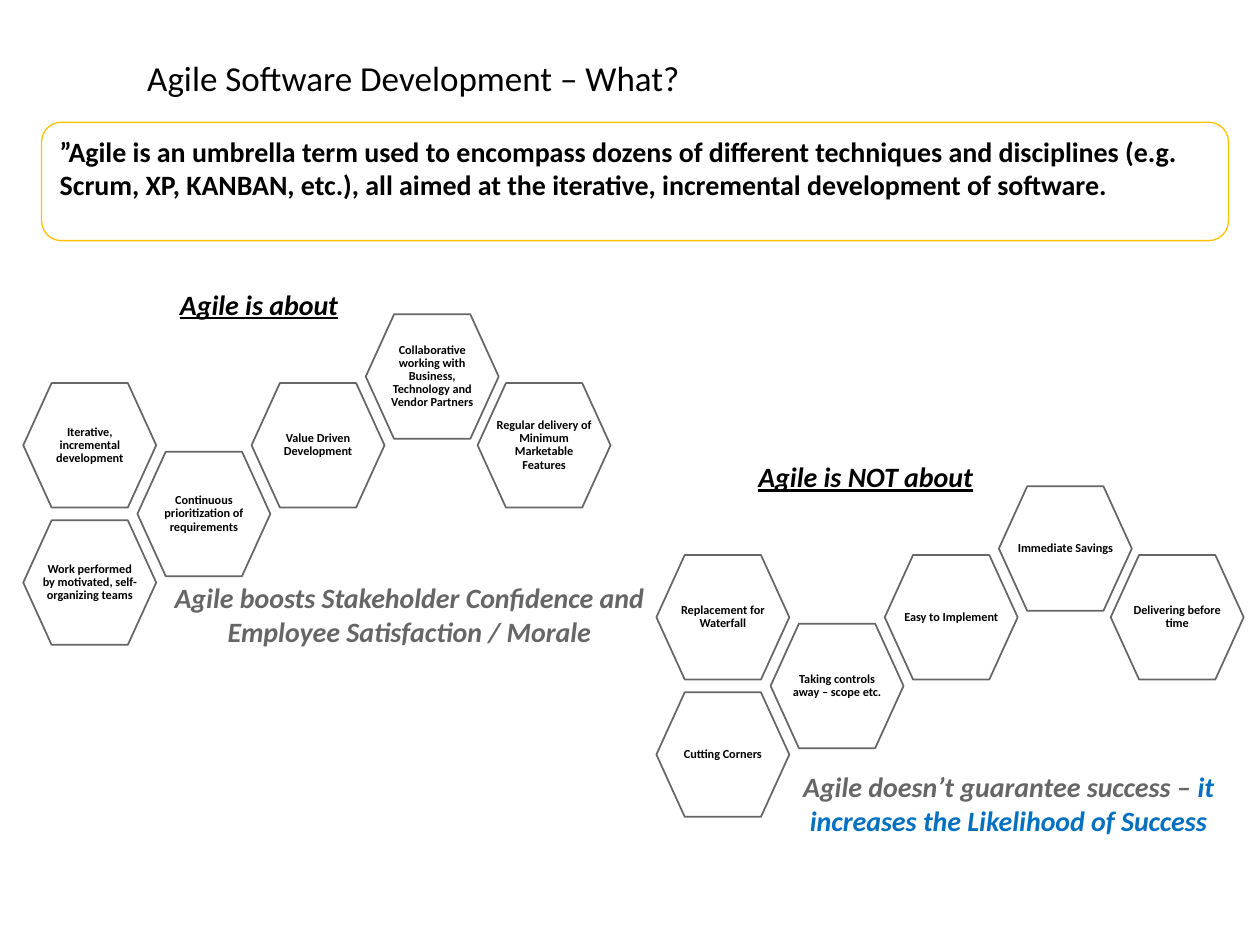
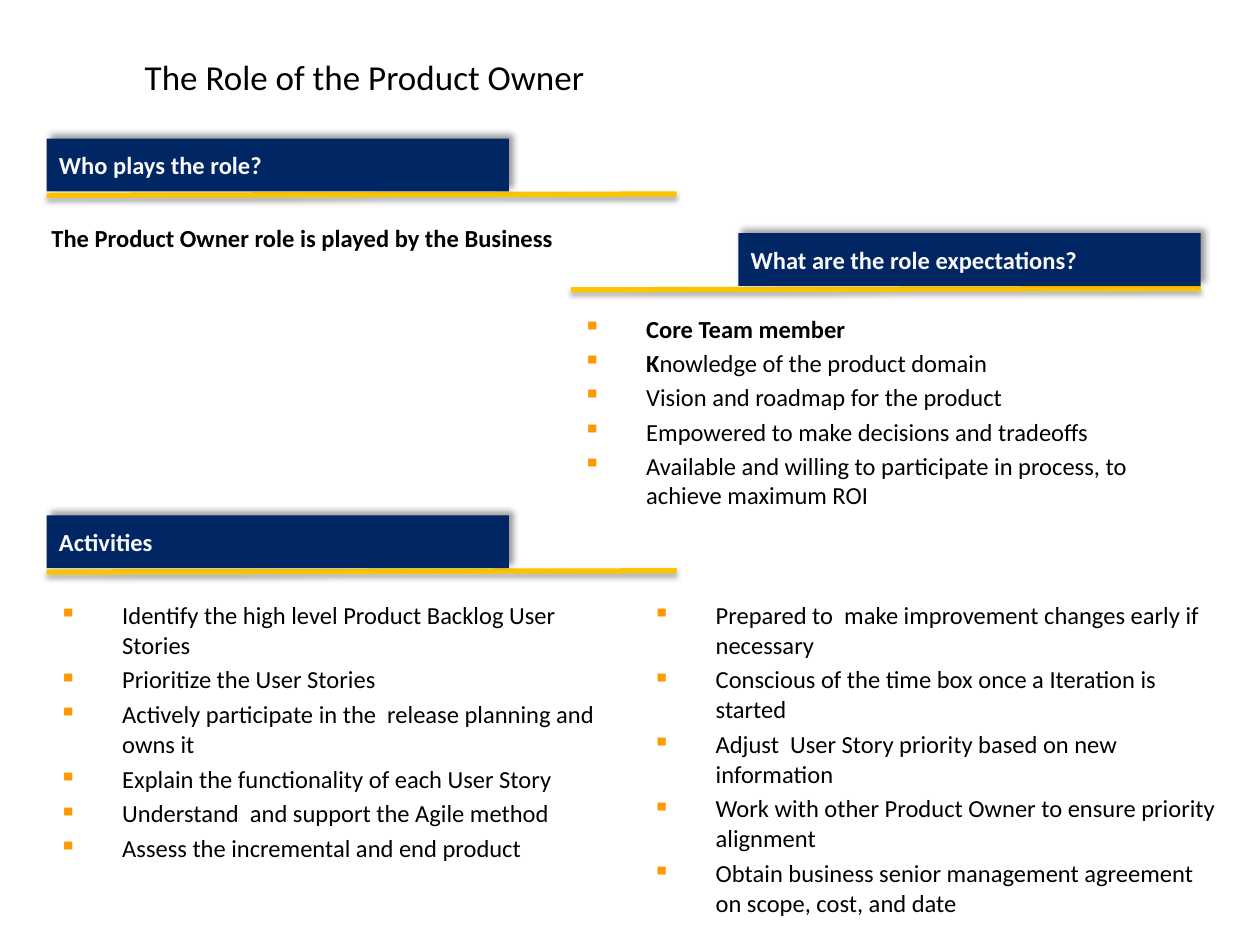
from lxml import etree
from pptx import Presentation
from pptx.dml.color import RGBColor
from pptx.enum.shapes import MSO_CONNECTOR, MSO_SHAPE
from pptx.enum.text import MSO_ANCHOR, PP_ALIGN
from pptx.oxml.ns import qn
from pptx.util import Inches, Pt

LEFT, CENTER = PP_ALIGN.LEFT, PP_ALIGN.CENTER
TOP, MIDDLE = MSO_ANCHOR.TOP, MSO_ANCHOR.MIDDLE
RECTANGLE = MSO_SHAPE.RECTANGLE
ROUNDED_BOX = MSO_SHAPE.FLOWCHART_ALTERNATE_PROCESS
STRAIGHT = MSO_CONNECTOR.STRAIGHT

BLACK = RGBColor(0x00, 0x00, 0x00)
WHITE = RGBColor(0xFF, 0xFF, 0xFF)
OFF_WHITE = RGBColor(0xF8, 0xF8, 0xF8)
GRAY = RGBColor(0x66, 0x66, 0x66)
NAVY = RGBColor(0x00, 0x26, 0x63)
BLUE = RGBColor(0x00, 0x70, 0xC0)
GOLD = RGBColor(0xFA, 0xC4, 0x00)
AMBER = RGBColor(0xFF, 0xC0, 0x00)
ORANGE = RGBColor(0xFF, 0x99, 0x00)

FONT = "Calibri"
COLUMNS, ROWS = 100, 75
WIDTH, HEIGHT = Inches(10), Inches(7.5)

HEXAGON_WIDTH, HEXAGON_HEIGHT, HEXAGON_CORNER = 10.55, 9.88, 2.25
HEXAGON_STEP_X, HEXAGON_STEP_Y = 9.06, 5.45
HEXAGON_PLACES = [(0, 2), (1, 1), (0, 0), (2, 0), (3, -1), (3.98, 0)]
BAR_WIDTH, BAR_HEIGHT, RULE_WIDTH = 36.7, 4.2, 50

AGILE_IS = [
    "Work performed by motivated, self-organizing teams",
    "Continuous prioritization of requirements",
    "Iterative, incremental development",
    "Value Driven Development",
    "Collaborative working with Business, Technology and Vendor Partners",
    "Regular delivery of Minimum Marketable Features",
]
AGILE_IS_NOT = [
    "Cutting Corners",
    "Taking controls away – scope etc.",
    "Replacement for Waterfall",
    "Easy to Implement",
    "Immediate Savings",
    "Delivering before time",
]
EXPECTATIONS = [
    [("Core Team member", {"bold": True})],
    [("K", {"bold": True}), ("nowledge of the product domain", {})],
    "Vision and roadmap for the product",
    "Empowered to make decisions and tradeoffs",
    "Available and willing to participate in process, to achieve maximum ROI",
]
ACTIVITIES = [
    [
        "Identify the high level Product Backlog User Stories",
        "Prioritize the User Stories",
        "Actively participate in the  release planning and owns it",
        "Explain the functionality of each User Story",
        "Understand  and support the Agile method",
        "Assess the incremental and end product",
    ],
    [
        "Prepared to  make improvement changes early if necessary",
        "Conscious of the time box once a Iteration is started",
        "Adjust  User Story priority based on new information",
        "Work with other Product Owner to ensure priority alignment",
        "Obtain business senior management agreement on scope, cost, and date",
    ],
]


def across(columns):
    return round(WIDTH * columns / COLUMNS)


def down(rows):
    return round(HEIGHT * rows / ROWS)


def add_bullet(paragraph):
    properties = paragraph._p.get_or_add_pPr()
    properties.set("marL", str(Inches(0.5)))
    properties.set("indent", str(-Inches(0.5)))
    color = etree.SubElement(properties, qn("a:buClr"))
    etree.SubElement(color, qn("a:srgbClr"), val=str(ORANGE))
    etree.SubElement(properties, qn("a:buChar"), char="▪")


def set_shadow(shape, blur=None, distance=0, direction=0, opacity=0):
    properties = shape._element.spPr
    effects = properties.find(qn("a:effectLst"))
    if effects is None:
        effects = etree.SubElement(properties, qn("a:effectLst"))
    if blur:
        shadow = etree.SubElement(
            effects, qn("a:outerShdw"), blurRad=str(Pt(blur)),
            dist=str(Pt(distance)), dir=str(direction * 60000), rotWithShape="0")
        color = etree.SubElement(shadow, qn("a:srgbClr"), val=str(BLACK))
        etree.SubElement(color, qn("a:alpha"), val=str(opacity * 1000))


def write(frame, paragraphs, size=14, color=BLACK, bold=False, italic=False,
          underline=False, align=LEFT, spacing=None, before=0, bullets=False):
    if isinstance(paragraphs, str):
        paragraphs = [paragraphs]
    for index, runs in enumerate(paragraphs):
        paragraph = frame.add_paragraph() if index else frame.paragraphs[0]
        paragraph.alignment = align
        paragraph.line_spacing = spacing
        paragraph.space_before = Pt(before)
        if bullets:
            add_bullet(paragraph)
        for text, changes in [(runs, {})] if isinstance(runs, str) else runs:
            run = paragraph.add_run()
            run.text = text
            run.font.name = FONT
            run.font.size = Pt(size)
            run.font.bold = changes.get("bold", bold)
            run.font.italic = italic
            run.font.underline = underline
            run.font.color.rgb = changes.get("color", color)


class Deck:
    def __init__(self):
        self.presentation = Presentation()
        self.presentation.slide_width = WIDTH
        self.presentation.slide_height = HEIGHT
        self.shapes = None

    def start_slide(self, title, left, top):
        layout = self.presentation.slide_layouts[6]
        self.shapes = self.presentation.slides.add_slide(layout).shapes
        self.text(left, top, 65.2, 4, title, anchor=MIDDLE, size=20, spacing=0.9)

    def text(self, left, top, width, height, paragraphs, anchor=TOP, **style):
        box = self.shapes.add_textbox(across(left), down(top), across(width), down(height))
        box.text_frame.word_wrap = True
        box.text_frame.vertical_anchor = anchor
        write(box.text_frame, paragraphs, **style)

    def statement(self, left, top, width, height, paragraphs, **style):
        self.text(left, top, width, height, paragraphs,
                  size=16, bold=True, italic=True, **style)

    def box(self, kind, left, top, width, height, text, fill=None, line=None,
            anchor=TOP, **style):
        shape = self.shapes.add_shape(
            kind, across(left), down(top), across(width), down(height))
        self.paint(shape, fill, line, 0.75)
        shape.text_frame.word_wrap = True
        shape.text_frame.vertical_anchor = anchor
        write(shape.text_frame, text, bold=True, **style)
        return shape

    def paint(self, shape, fill, line, weight):
        shape.shadow.inherit = False
        if fill is None:
            shape.fill.background()
        else:
            shape.fill.solid()
            shape.fill.fore_color.rgb = fill
        if line is None:
            shape.line.fill.background()
        else:
            shape.line.color.rgb = line
            shape.line.width = Pt(weight)

    def hexagon(self, left, top, text):
        right, bottom = left + HEXAGON_WIDTH, top + HEXAGON_HEIGHT
        middle = top + HEXAGON_HEIGHT / 2
        inner_left, inner_right = left + HEXAGON_CORNER, right - HEXAGON_CORNER
        corners = [(inner_left, top), (inner_right, top), (right, middle),
                   (inner_right, bottom), (inner_left, bottom)]
        builder = self.shapes.build_freeform(across(left), down(middle))
        builder.add_line_segments([(across(x), down(y)) for x, y in corners])
        shape = builder.convert_to_shape()
        self.paint(shape, WHITE, GRAY, 1)
        frame = shape.text_frame
        frame.word_wrap = True
        frame.vertical_anchor = MIDDLE
        frame.margin_left = frame.margin_right = across(1.5)
        frame.margin_top = frame.margin_bottom = down(1.4)
        write(frame, text, size=7, bold=True, align=CENTER, spacing=0.9)

    def honeycomb(self, left, top, labels):
        for (column, row), label in zip(HEXAGON_PLACES, labels):
            self.hexagon(left + column * HEXAGON_STEP_X,
                         top + row * HEXAGON_STEP_Y, label)

    def section(self, left, top, heading, bar_on_right=False):
        rule = self.shapes.add_connector(
            STRAIGHT, across(left), down(top + 4.5),
            across(left + RULE_WIDTH), down(top + 4.4))
        rule.line.color.rgb = GOLD
        rule.line.width = Pt(3)
        set_shadow(rule, blur=3.1, distance=1.8, direction=90, opacity=35)
        bar_left = left + RULE_WIDTH - BAR_WIDTH if bar_on_right else left
        bar = self.box(RECTANGLE, bar_left, top, BAR_WIDTH, BAR_HEIGHT, heading,
                       fill=NAVY, anchor=MIDDLE, color=OFF_WHITE)
        set_shadow(bar, blur=4, distance=3, direction=315, opacity=40)

    def bullet_table(self, left, top, width, height, lists):
        table = self.shapes.add_table(
            1, len(lists), across(left), down(top), across(width), down(height)).table
        for cell, items in zip(table.rows[0].cells, lists):
            cell.fill.background()
            write(cell.text_frame, items, before=2.8, bullets=True)


def add_agile_slide(deck):
    deck.start_slide("Agile Software Development – What?", 10.7, 4.4)
    deck.box(ROUNDED_BOX, 3.3, 9.7, 94.2, 9.4,
             "”Agile is an umbrella term used to encompass dozens of different "
             "techniques and disciplines (e.g. Scrum, XP, KANBAN, etc.), all aimed "
             "at the iterative, incremental development of software.",
             line=AMBER, size=16)
    deck.honeycomb(52.1, 44.05, AGILE_IS_NOT)
    deck.statement(59.2, 36, 22.1, 3.7, "Agile is NOT about", underline=True)
    deck.statement(60.1, 60.6, 39.9, 9.1,
                   [[("Agile doesn’t guarantee success – ", {}),
                     ("it increases the Likelihood of Success", {"color": BLUE})]],
                   color=GRAY, align=CENTER)
    deck.statement(13.3, 22.3, 16.7, 3.7, "Agile is about", underline=True)
    deck.honeycomb(1.85, 30.4, AGILE_IS)
    deck.statement(12.5, 45.6, 40, 9.1,
                   "Agile boosts Stakeholder Confidence and Employee Satisfaction / Morale",
                   color=GRAY, align=CENTER)


def add_product_owner_slide(deck):
    deck.start_slide("The Role of the Product Owner", 10.5, 4.3)
    deck.text(3.1, 17.2, 51.4, 3.9, "The Product Owner role is played by the Business",
              bold=True, before=2.8)
    deck.section(3.7, 11, "Who plays the role?")
    deck.section(45.3, 18.5, "What are the role expectations?", bar_on_right=True)
    deck.text(45.3, 24.4, 48.9, 17.5, EXPECTATIONS, before=2.8, bullets=True)
    deck.section(3.7, 40.9, "Activities")
    deck.bullet_table(3.7, 47.2, 94.2, 26.2, ACTIVITIES)


def main():
    deck = Deck()
    add_agile_slide(deck)
    add_product_owner_slide(deck)
    deck.presentation.save("out.pptx")


if __name__ == "__main__":
    main()
